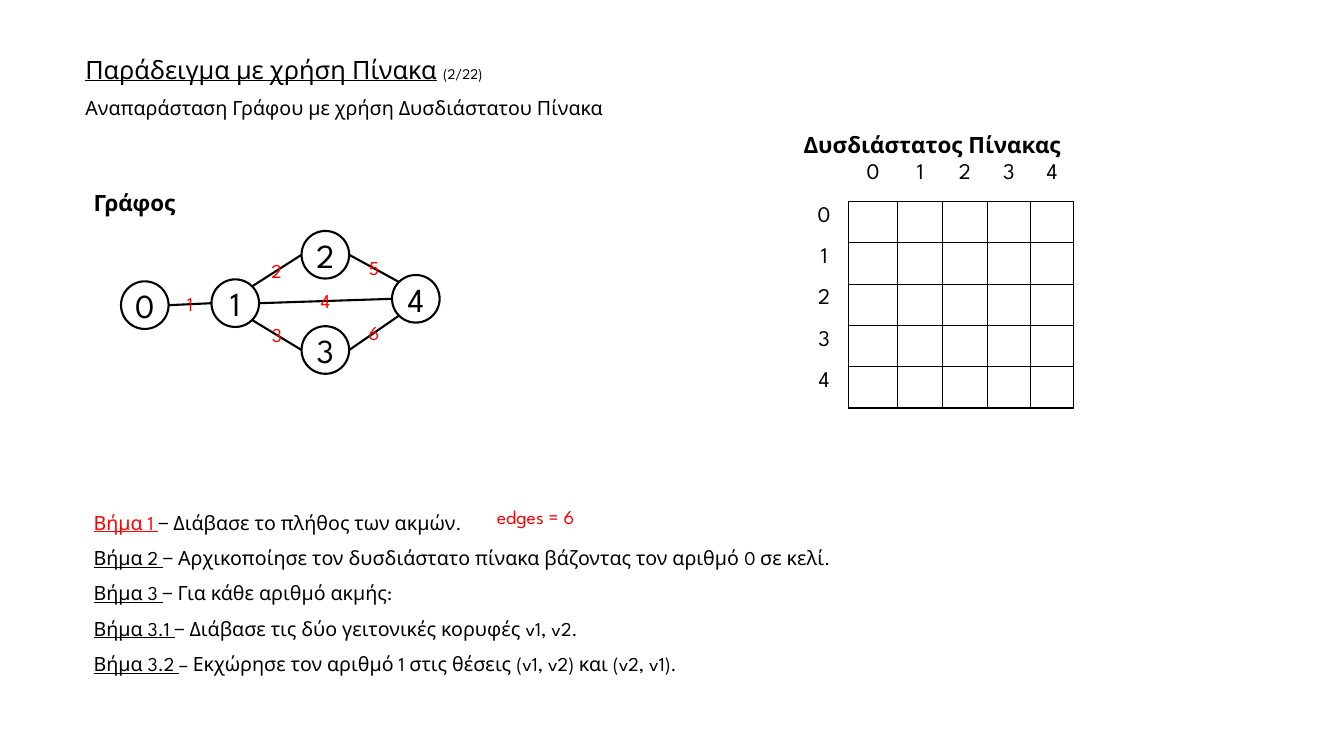
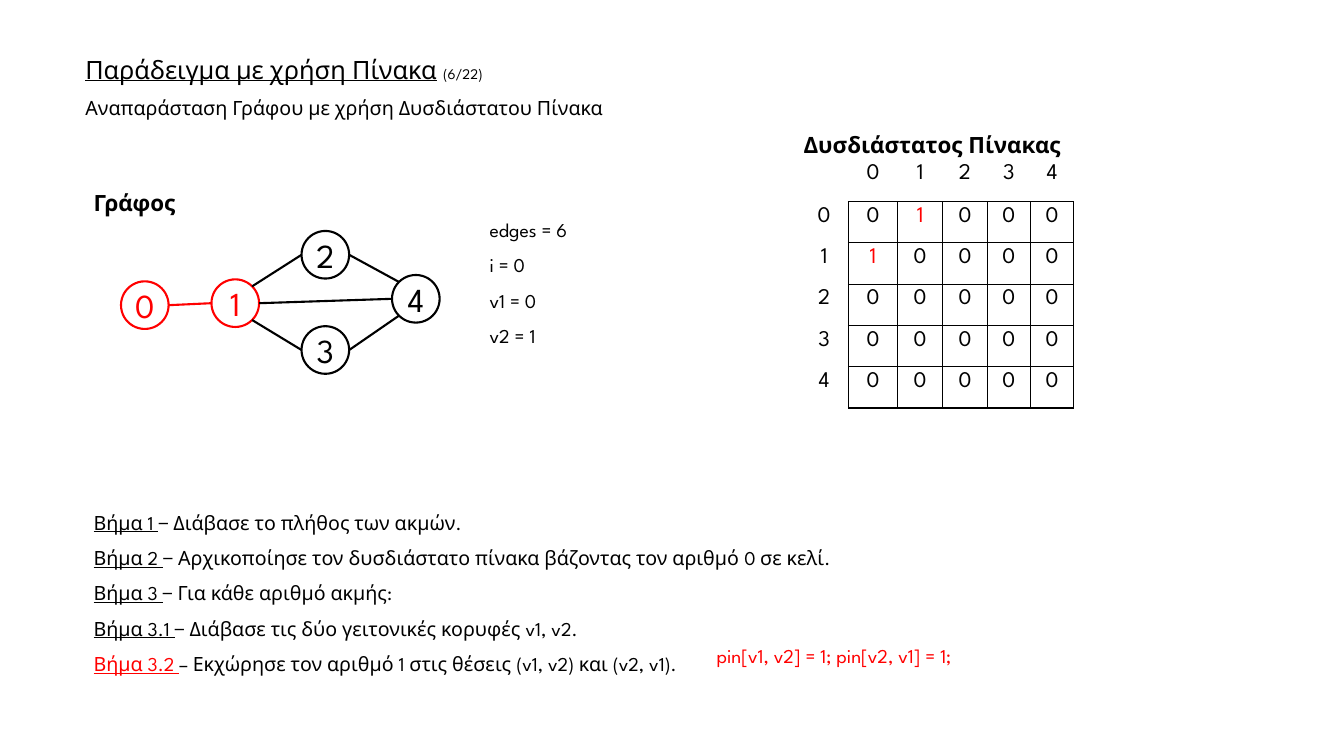
from dataclasses import dataclass
from math import cos, radians, sin

from lxml import etree
from pptx import Presentation
from pptx.dml.color import RGBColor
from pptx.enum.shapes import MSO_CONNECTOR, MSO_SHAPE
from pptx.enum.text import MSO_ANCHOR, MSO_AUTO_SIZE, PP_ALIGN
from pptx.oxml.ns import qn
from pptx.util import Cm, Pt


@dataclass(frozen=True)
class Theme:
    font: str = "League Spartan"
    ink: RGBColor = RGBColor(0, 0, 0)
    accent: RGBColor = RGBColor(255, 0, 0)
    title: float = 18
    counter: float = 10.5
    body: float = 14
    heading: float = 16
    vertex: float = 24
    outline: float = 1.5
    grid: float = 1


THEME = Theme()
CENTERED = {"alignment": PP_ALIGN.CENTER}
LOOSE = {"line_spacing": 1.5}
TIGHT = {"line_spacing": 0.9, "space_before": Pt(10)}
NO_GRID_STYLE = "{2D5ABB26-0587-4C30-8999-92F81FD0307C}"

DIAMETER = 1.2
VERTICES = {  # left, top in cm
    0: (3.05, 7.09),
    1: (5.33, 7.04),
    2: (7.6, 5.82),
    3: (7.6, 8.22),
    4: (9.88, 6.93),
}
# Rim sites of an ellipse run counter-clockwise in 45° steps from the top.
EDGES = [  # start vertex, rim site, end vertex, rim site
    (0, 6, 1, 2),
    (1, 7, 2, 2),
    (1, 5, 3, 2),
    (1, 6, 4, 2),
    (2, 6, 4, 1),
    (3, 6, 4, 3),
]
MATRIX_COLUMNS = (1.22, 1.24, 1.14, 1.12, 1.09, 1.09)
MATRIX_ROWS = (1.09,) + (1.04,) * 5

STEPS = [
    ("Βήμα 1 ", "− Διάβασε το πλήθος των ακμών."),
    ("Βήμα 2 ", "− Αρχικοποίησε τον δυσδιάστατο πίνακα βάζοντας τον αριθμό 0 σε κελί."),
    ("Βήμα 3 ", "− Για κάθε αριθμό ακμής:"),
    ("Βήμα 3.1 ", "− Διάβασε τις δύο γειτονικές κορυφές v1, v2."),
    ("Βήμα 3.2 ", "– Εκχώρησε τον αριθμό 1 στις θέσεις (v1, v2) και (v2, v1)."),
]


def apply_format(target, values):
    for name, value in values.items():
        setattr(target, name, value)


def ink_or_accent(is_active):
    return THEME.accent if is_active else THEME.ink


def add_run(paragraph, text, size, color=THEME.ink, **extra):
    run = paragraph.add_run()
    run.text = text
    apply_format(run.font, {"name": THEME.font, "size": Pt(size), **extra})
    run.font.color.rgb = color


def write_paragraphs(frame, paragraphs, layout):
    """Fill a frame; each paragraph is a list of (text, run format) pairs."""
    for index, runs in enumerate(paragraphs):
        paragraph = frame.paragraphs[0] if index == 0 else frame.add_paragraph()
        apply_format(paragraph, layout)
        if index == 0:
            paragraph.space_before = None
        for text, look in runs:
            add_run(paragraph, text, **look)


def add_text(slide, box, paragraphs, layout, grow=False):
    frame = slide.shapes.add_textbox(*map(Cm, box)).text_frame
    frame.word_wrap = True
    if grow:
        frame.auto_size = MSO_AUTO_SIZE.SHAPE_TO_FIT_TEXT
    write_paragraphs(frame, paragraphs, layout)


def add_title(slide, counter):
    add_text(slide, (1.9, 1.32, 30.05, 2.67), [
        [("Παράδειγμα με χρήση Πίνακα", {"size": THEME.title, "underline": True}),
         (" ", {"size": THEME.title}),
         (counter, {"size": THEME.counter})],
        [("Αναπαράσταση Γράφου με χρήση Δυσδιάστατου Πίνακα", {"size": THEME.body})],
    ], TIGHT)


def add_heading(slide, text, box):
    look = {"size": THEME.heading, "bold": True}
    add_text(slide, box, [[(text, look)]], {}, grow=True)


def add_notes(slide, box, lines, color=THEME.ink):
    look = {"size": THEME.body, "color": color}
    add_text(slide, box, [[(line, look)] for line in lines], TIGHT)


def add_vertex(slide, number, color):
    left, top = VERTICES[number]
    circle = slide.shapes.add_shape(
        MSO_SHAPE.OVAL, Cm(left), Cm(top), Cm(DIAMETER), Cm(DIAMETER))
    circle.shadow.inherit = False
    circle.fill.background()
    circle.line.color.rgb = color
    circle.line.width = Pt(THEME.outline)
    apply_format(circle.text_frame, {
        "word_wrap": False, "vertical_anchor": MSO_ANCHOR.MIDDLE,
        "margin_left": 0, "margin_right": 0, "margin_top": 0, "margin_bottom": 0})
    digit = [(str(number), {"size": THEME.vertex, "color": color})]
    write_paragraphs(circle.text_frame, [digit], CENTERED)
    return circle


def rim_point(vertex, site):
    left, top = VERTICES[vertex]
    radius = DIAMETER / 2
    angle = radians(90 + 45 * site)
    return left + radius * (1 + cos(angle)), top + radius * (1 - sin(angle))


def add_edge(slide, circles, edge, color):
    start, start_site, end, end_site = edge
    points = rim_point(start, start_site) + rim_point(end, end_site)
    line = slide.shapes.add_connector(MSO_CONNECTOR.STRAIGHT, *map(Cm, points))
    line.line.color.rgb = color
    line.line.width = Pt(THEME.outline)
    etree.SubElement(line._element.spPr, qn("a:effectLst"))
    # begin_connect knows four sites only, an ellipse has eight.
    joints = line._element.nvCxnSpPr.cNvCxnSpPr
    for tag, vertex, site in (("a:stCxn", start, start_site), ("a:endCxn", end, end_site)):
        etree.SubElement(joints, qn(tag), id=str(circles[vertex].shape_id), idx=str(site))


def add_graph(slide, active_vertices=()):
    circles = {number: add_vertex(slide, number, ink_or_accent(number in active_vertices))
               for number in VERTICES}
    for edge in EDGES:
        is_active = edge[0] in active_vertices and edge[2] in active_vertices
        add_edge(slide, circles, edge, ink_or_accent(is_active))


def add_edge_numbers(slide):
    width, height = 0.91, 0.86
    look = {"size": THEME.body, "color": THEME.accent}
    for number, (start, start_site, end, end_site) in enumerate(EDGES, 1):
        x1, y1 = rim_point(start, start_site)
        x2, y2 = rim_point(end, end_site)
        box = ((x1 + x2 - width) / 2, (y1 + y2 - height) / 2, width, height)
        add_text(slide, box, [[(str(number), look)]], CENTERED, grow=True)


def add_borders(cell):
    properties = cell._tc.get_or_add_tcPr()
    for side in ("a:lnL", "a:lnR", "a:lnT", "a:lnB"):
        border = etree.SubElement(properties, qn(side), w=str(Pt(THEME.grid)))
        fill = etree.SubElement(border, qn("a:solidFill"))
        etree.SubElement(fill, qn("a:srgbClr"), val=str(THEME.ink))


def fill_cell(cell, text, color):
    paragraph = cell.text_frame.paragraphs[0]
    apply_format(paragraph, CENTERED)
    if text:
        add_run(paragraph, text, THEME.heading, color)
    else:
        etree.SubElement(paragraph._p, qn("a:endParaRPr"), sz=str(THEME.heading * 100))
    cell.fill.background()


def add_matrix(slide, values=None, active_cells=()):
    """Draw the adjacency matrix with its row and column numbers."""
    table = slide.shapes.add_table(
        len(MATRIX_ROWS), len(MATRIX_COLUMNS), Cm(20.16), Cm(3.99),
        Cm(sum(MATRIX_COLUMNS)), Cm(sum(MATRIX_ROWS))).table
    apply_format(table, {"first_row": False, "horz_banding": False})
    table._tbl.tblPr.find(qn("a:tableStyleId")).text = NO_GRID_STYLE
    for column, width in zip(table.columns, MATRIX_COLUMNS):
        column.width = Cm(width)
    for row, height in zip(table.rows, MATRIX_ROWS):
        row.height = Cm(height)
    for row in range(len(MATRIX_ROWS)):
        for column in range(len(MATRIX_COLUMNS)):
            cell = table.cell(row, column)
            v1, v2 = row - 1, column - 1
            if row and column:
                add_borders(cell)
                text = str(values[v1][v2]) if values else ""
            else:
                text = str(max(v1, v2)) if row or column else ""
            fill_cell(cell, text, ink_or_accent((v1, v2) in active_cells))


def add_steps(slide, active_step):
    paragraphs = [
        [(label, {"size": THEME.body, "underline": True,
                  "color": ink_or_accent(index == active_step)}),
         (text, {"size": THEME.body})]
        for index, (label, text) in enumerate(STEPS)]
    add_text(slide, (2.11, 12.45, 31.37, 4.62), paragraphs, LOOSE, grow=True)


def add_example(deck, counter, active_step, active_vertices=(), values=None, active_cells=()):
    slide = deck.slides.add_slide(deck.slide_layouts[6])
    add_title(slide, counter)
    add_graph(slide, active_vertices)
    add_heading(slide, "Γράφος", (2.11, 4.65, 2.75, 0.94))
    add_heading(slide, "Δυσδιάστατος Πίνακας", (20, 3.18, 8.25, 0.94))
    add_matrix(slide, values, active_cells)
    add_steps(slide, active_step)
    return slide


def main():
    deck = Presentation()
    deck.slide_width, deck.slide_height = Cm(33.87), Cm(19.05)

    reading = add_example(deck, "(2/22)", active_step=0)
    add_notes(reading, (12.27, 12.67, 14.1, 0.99), ["edges = 6"], THEME.accent)
    add_edge_numbers(reading)

    linked = [(0, 1), (1, 0)]
    values = [[int((v1, v2) in linked) for v2 in VERTICES] for v1 in VERTICES]
    assigning = add_example(deck, "(6/22)", active_step=4, active_vertices=(0, 1),
                            values=values, active_cells=linked)
    add_notes(assigning, (17.81, 16.18, 10.03, 0.99),
              ["pin[v1, v2] = 1; pin[v2, v1] = 1;"], THEME.accent)
    add_notes(assigning, (12.09, 5.44, 5.64, 3.89),
              ["edges = 6", "i = 0", "v1 = 0", "v2 = 1"])

    deck.save("out.pptx")


if __name__ == "__main__":
    main()
